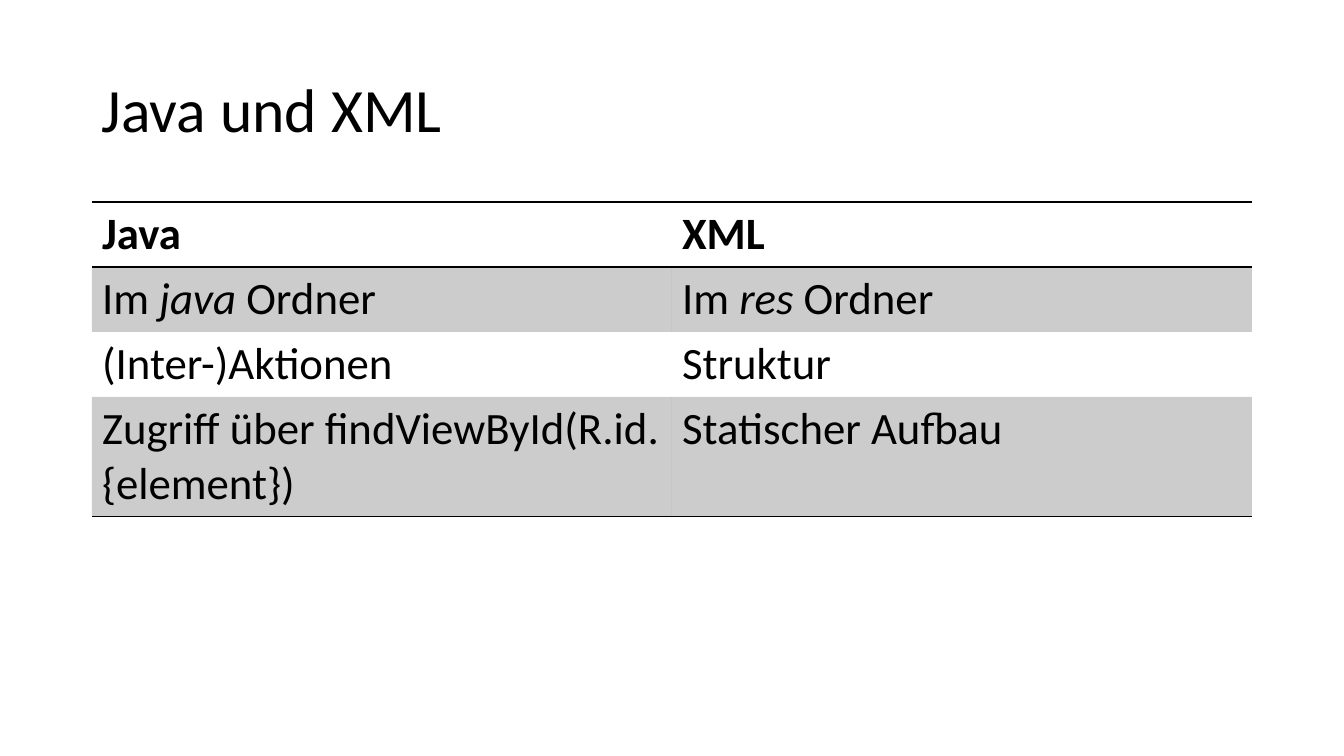
from lxml import etree
from pptx import Presentation
from pptx import util as u
from pptx.dml.color import RGBColor
from pptx.enum import text
from pptx.oxml.ns import qn

PX = 12192000 / 1344
BLACK = "000000"
NO_STYLE = "{2D5ABB26-0587-4C30-8999-92F81FD0307C}"


def px(length):
    return u.Emu(round(length * PX))


def add_run(paragraph, words, size, bold=False, italic=False):
    run = paragraph.add_run()
    run.text = words
    font = run.font
    font.name, font.size = "Calibri", u.Pt(size)
    font.bold, font.italic = bold, italic
    font.color.rgb = RGBColor.from_string(BLACK)


prs = Presentation()
prs.slide_width, prs.slide_height = px(1344), px(756)
slide = prs.slides.add_slide(prs.slide_layouts[6])

# Title
title = slide.shapes.add_textbox(px(92), px(40), px(1160), px(146)).text_frame
title.word_wrap = True
title.vertical_anchor = text.MSO_ANCHOR.MIDDLE
title.paragraphs[0].line_spacing = 0.9
add_run(title.paragraphs[0], "Java und XML", 44)

# Comparison: each cell is a list of runs, every second run is italic
comparison = [
    (["Java"], ["XML"]),
    (["Im ", "java ", "Ordner"], ["Im ", "res ", "Ordner"]),
    (["(Inter-)Aktionen"], ["Struktur"]),
    (["Zugriff über findViewById(R.id.{element})"], ["Statischer Aufbau"]),
]
row_heights = [65, 65, 65, 120]
ruled_edges = {0: ["lnT", "lnB"], 3: ["lnB"]}

table = slide.shapes.add_table(
    len(comparison), 2, px(92), px(202), px(1160), px(sum(row_heights))).table
table.horz_banding = False
table._tbl.tblPr.find(qn("a:tableStyleId")).text = NO_STYLE
for column in table.columns:
    column.width = px(580)

for r, entries in enumerate(comparison):
    table.rows[r].height = px(row_heights[r])
    for c, runs in enumerate(entries):
        cell = table.cell(r, c)
        for i, words in enumerate(runs):
            add_run(cell.text_frame.paragraphs[0], words, 32,
                    bold=r == 0, italic=i % 2 == 1)

        # Grey bands: black at 20 % opacity
        props = cell._tc.get_or_add_tcPr()
        if r % 2:
            cell.fill.solid()
            cell.fill.fore_color.rgb = RGBColor.from_string(BLACK)
            tint = props.find(qn("a:solidFill"))[0]
            etree.SubElement(tint, qn("a:alpha"), val="20000")
        else:
            cell.fill.background()

        # Rules, placed before the fill
        for i, edge in enumerate(ruled_edges.get(r, [])):
            rule = etree.Element(qn(f"a:{edge}"), w=str(u.Pt(1)))
            paint = etree.SubElement(rule, qn("a:solidFill"))
            etree.SubElement(paint, qn("a:srgbClr"), val=BLACK)
            props.insert(i, rule)

prs.save("out.pptx")
